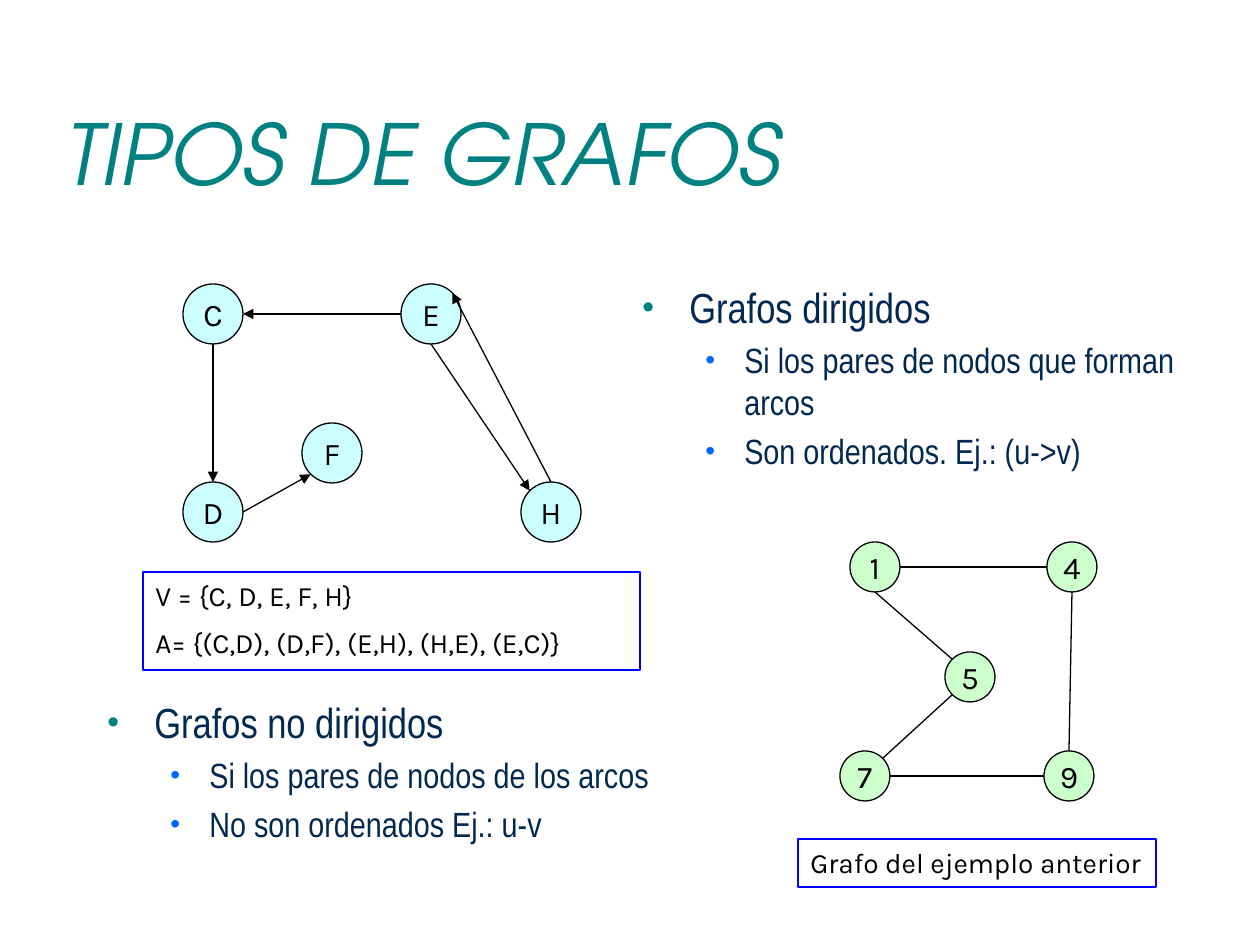
import lxml.etree
import pptx
import pptx.dml.color
import pptx.enum.shapes
import pptx.enum.text
import pptx.oxml.ns
import pptx.util

SCALE = 914400 / 126  # EMU per px
THEME = {
    "title": "008080", "text": "002850", "ink": "000000", "frame": "0000FF",
    "directed": "CCFFFF", "undirected": "CCFFCC",
    "bullets": ["008080", "0066FF"],
    "title_font": "TeX Gyre Adventor", "body_font": "Arial Narrow", "node_font": "Karla",
    "title_size": 48, "body_sizes": [24, 20], "node_size": 18, "caption_size": 16,
}
qn = pptx.oxml.ns.qn
color = pptx.dml.color.RGBColor.from_string
shape_types = pptx.enum.shapes.MSO_SHAPE


def px(*lengths):
    return [pptx.util.Emu(round(length * SCALE)) for length in lengths]


def set_font(paragraph, name, size, rgb):
    paragraph.font.name = name
    paragraph.font.size = pptx.util.Pt(size)
    paragraph.font.color.rgb = color(rgb)


presentation = pptx.Presentation()
presentation.slide_width, presentation.slide_height = px(1260, 945)
slide = presentation.slides.add_slide(presentation.slide_layouts[6])

# Title
title = slide.shapes.add_textbox(*px(53, 73, 1134, 158)).text_frame
title.word_wrap = True
title.vertical_anchor = pptx.enum.text.MSO_ANCHOR.MIDDLE
title.text = "TIPOS DE GRAFOS"
set_font(title.paragraphs[0], THEME["title_font"], THEME["title_size"], THEME["title"])
title.paragraphs[0].font.italic = True

# Bulleted definitions: a heading, then its details one level down
definitions = [
    ((630, 275, 630, 234), ["Grafos dirigidos", "Si los pares de nodos que forman arcos",
                            "Son ordenados. Ej.: (u->v)"]),
    ((95, 690, 625, 185), ["Grafos no dirigidos", "Si los pares de nodos de los arcos",
                           "No son ordenados Ej.: u-v"]),
]
for place, lines in definitions:
    frame = slide.shapes.add_textbox(*px(*place)).text_frame
    frame.word_wrap = True
    frame.text = "\n".join(lines)
    for index, paragraph in enumerate(frame.paragraphs):
        level = min(index, 1)
        paragraph.level = level
        properties = paragraph._p.get_or_add_pPr()
        margin, indent = px([47, 102][level], [-47, -39][level])
        properties.set("marL", str(margin))
        properties.set("indent", str(indent))
        bullet_color = lxml.etree.SubElement(properties, qn("a:buClr"))
        lxml.etree.SubElement(bullet_color, qn("a:srgbClr"), val=THEME["bullets"][level])
        lxml.etree.SubElement(properties, qn("a:buSzPct"), val="80000")
        lxml.etree.SubElement(properties, qn("a:buFont"), typeface="Arial")
        lxml.etree.SubElement(properties, qn("a:buChar"), char="•")
        size = THEME["body_sizes"][level]
        paragraph.space_before = pptx.util.Pt(round(size * 0.2))
        set_font(paragraph, THEME["body_font"], size, THEME["text"])

# Graphs: node centres, and edges as (node, side, node, side)
SIDES = {"n": (0, -1), "s": (0, 1), "w": (-1, 0), "e": (1, 0),
         "ne": (0.71, -0.71), "nw": (-0.71, -0.71), "sw": (-0.71, 0.71)}
graphs = [
    ("directed", 60,
     {"C": (213, 314), "E": (431, 314), "D": (213, 512), "F": (332, 453), "H": (551, 512)},
     ["E w C e", "C s D n", "D e F sw", "E s H nw", "H n E ne"]),
    ("undirected", 50,
     {"1": (875, 567), "4": (1072, 567), "5": (970, 677), "7": (865, 776), "9": (1069, 776)},
     ["1 e 4 w", "1 s 5 nw", "5 sw 7 ne", "7 e 9 w", "9 n 4 s"]),
]
for kind, diameter, nodes, edges in graphs:
    group = slide.shapes.add_group_shape()
    radius = diameter / 2
    for name, (x, y) in nodes.items():
        node = group.shapes.add_shape(
            shape_types.OVAL, *px(x - radius, y - radius, diameter, diameter))
        node.shadow.inherit = False
        node.fill.solid()
        node.fill.fore_color.rgb = color(THEME[kind])
        node.line.color.rgb = color(THEME["ink"])
        node.line.width = pptx.util.Pt(0.75)
        node.text_frame.word_wrap = False
        node.text_frame.vertical_anchor = pptx.enum.text.MSO_ANCHOR.MIDDLE
        node.text_frame.text = name
        paragraph = node.text_frame.paragraphs[0]
        paragraph.alignment = pptx.enum.text.PP_ALIGN.CENTER
        set_font(paragraph, THEME["node_font"], THEME["node_size"], THEME["ink"])
    for edge in edges:
        start, start_side, end, end_side = edge.split()
        ends = []
        for name, side in ((start, start_side), (end, end_side)):
            ends += [centre + radius * step for centre, step in zip(nodes[name], SIDES[side])]
        connector = group.shapes.add_connector(
            pptx.enum.shapes.MSO_CONNECTOR.STRAIGHT, *px(*ends))
        connector.line.color.rgb = color(THEME["ink"])
        connector.line.width = pptx.util.Pt(0.75)
        if kind == "directed":
            lxml.etree.SubElement(connector.line._get_or_add_ln(), qn("a:tailEnd"),
                                  type="triangle")
        lxml.etree.SubElement(connector._element.spPr, qn("a:effectLst"))

# Framed captions
captions = [
    ((143, 572, 497, 98), ["V = {C, D, E, F, H}", "A= {(C,D), (D,F), (E,H), (H,E), (E,C)}"]),
    ((798, 839, 358, 48), ["Grafo del ejemplo anterior"]),
]
for place, lines in captions:
    caption = slide.shapes.add_shape(shape_types.RECTANGLE, *px(*place))
    caption.shadow.inherit = False
    caption.fill.background()
    caption.line.color.rgb = color(THEME["frame"])
    caption.line.width = pptx.util.Pt(0.75)
    frame = caption.text_frame
    frame.word_wrap = True
    frame.vertical_anchor = pptx.enum.text.MSO_ANCHOR.TOP
    frame.text = "\n".join(lines)
    for paragraph in frame.paragraphs:
        paragraph.alignment = pptx.enum.text.PP_ALIGN.LEFT
        paragraph.space_before = pptx.util.Pt(THEME["caption_size"] / 2)
        set_font(paragraph, THEME["node_font"], THEME["caption_size"], THEME["ink"])

presentation.save("out.pptx")
